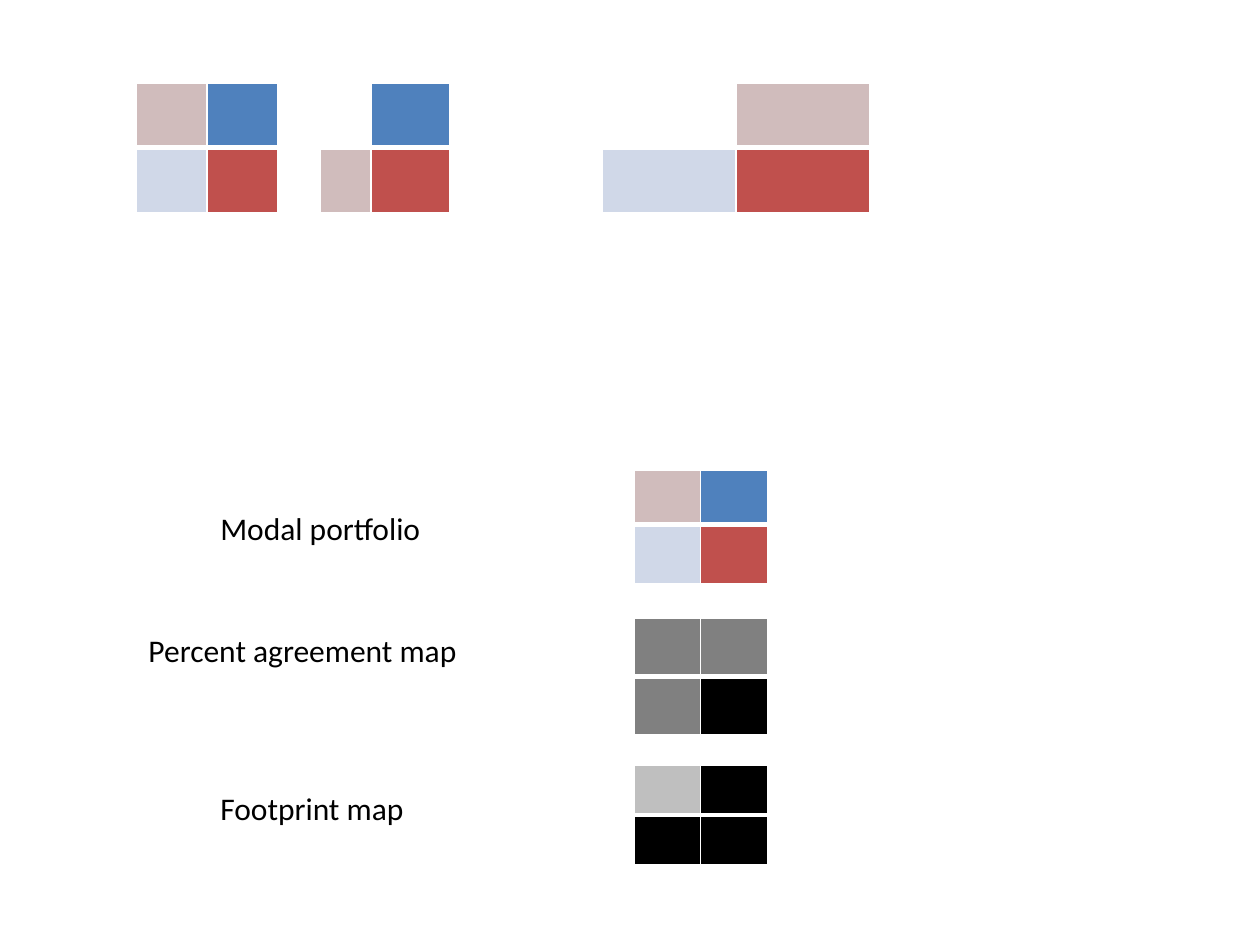
from lxml.etree import SubElement
from pptx import Presentation
from pptx.dml.color import RGBColor as Color
from pptx.enum.text import MSO_AUTO_SIZE as AutoSize
from pptx.oxml.ns import qn
from pptx.util import Inches, Pt

THEME = {
    "font": "Calibri",
    "label_size": Pt(18),
    "thin": Pt(1),
    "thick": Pt(3),
    "white": "FFFFFF",
    "black": "000000",
    "rose": "D0BCBC",
    "blue": "4F81BD",
    "pale": "D0D8E8",
    "red": "C0504D",
    "gray": "808080",
    "silver": "BFBFBF",
}

presentation = Presentation()
presentation.slide_width, presentation.slide_height = Inches(10), Inches(7.5)
COLUMN = presentation.slide_width / 100
ROW = presentation.slide_height / 75
slide = presentation.slides.add_slide(presentation.slide_layouts[6])


def add_border(cell, position, side, width):
    line = SubElement(cell._tc.get_or_add_tcPr(), qn(f"a:ln{side}"), w=str(width))
    fill = SubElement(line, qn("a:solidFill"))
    SubElement(fill, qn("a:srgbClr"), val=THEME["white"])
    cell._tc.tcPr.insert(position, line)


def add_map(left, top, widths, heights, colors):
    frame = slide.shapes.add_table(
        2, 2, int(left * COLUMN), int(top * ROW),
        int(sum(widths) * COLUMN), int(sum(heights) * ROW))
    table = frame.table
    table.first_row = table.horz_banding = False
    for index in range(2):
        table.columns[index].width = int(widths[index] * COLUMN)
        table.rows[index].height = int(heights[index] * ROW)
    for index, color in enumerate(colors):
        row, column = divmod(index, 2)
        cell = table.cell(row, column)
        cell.margin_top = cell.margin_bottom = 0
        cell.fill.solid()
        cell.fill.fore_color.rgb = Color.from_string(THEME[color])
        inner_side = "T" if row else "B"
        for position, side in enumerate("LRTB"):
            width = THEME["thick"] if side == inner_side else THEME["thin"]
            add_border(cell, position, side, width)


PORTFOLIO = ("rose", "blue", "pale", "red")
TOP_ROWS = (5.13, 5.13)
LEGEND_LEFT, LEGEND_COLUMNS = 50.3, (5.3, 5.3)

maps = [
    (10.8, 6.6, (5.63, 5.63), TOP_ROWS, PORTFOLIO),
    (25.4, 6.6, (4.05, 6.25), TOP_ROWS, ("white", "blue", "rose", "red")),
    (47.8, 6.6, (10.6, 10.6), TOP_ROWS, ("white", "rose", "pale", "red")),
    (LEGEND_LEFT, 37.3, LEGEND_COLUMNS, (4.35, 4.7), PORTFOLIO),
    (LEGEND_LEFT, 49.1, LEGEND_COLUMNS, (4.6, 4.6), ("gray", "gray", "gray", "black")),
    (LEGEND_LEFT, 60.7, LEGEND_COLUMNS, (3.98, 3.98), ("silver", "black", "black", "black")),
]
for left, top, widths, heights, colors in maps:
    add_map(left, top, widths, heights, colors)

labels = [
    ("Modal portfolio", 16.5, 39.9, 18.1),
    ("Percent agreement map", 10.8, 49.6, 26.9),
    ("Footprint map", 16.5, 62.1, 16.8),
]
for text, left, top, width in labels:
    box = slide.shapes.add_textbox(
        int(left * COLUMN), int(top * ROW), int(width * COLUMN), int(4 * ROW))
    box.text_frame.word_wrap = False
    box.text_frame.auto_size = AutoSize.SHAPE_TO_FIT_TEXT
    paragraph = box.text_frame.paragraphs[0]
    paragraph.text = text
    paragraph.font.name = THEME["font"]
    paragraph.font.size = THEME["label_size"]
    paragraph.font.color.rgb = Color.from_string(THEME["black"])

presentation.save("out.pptx")
